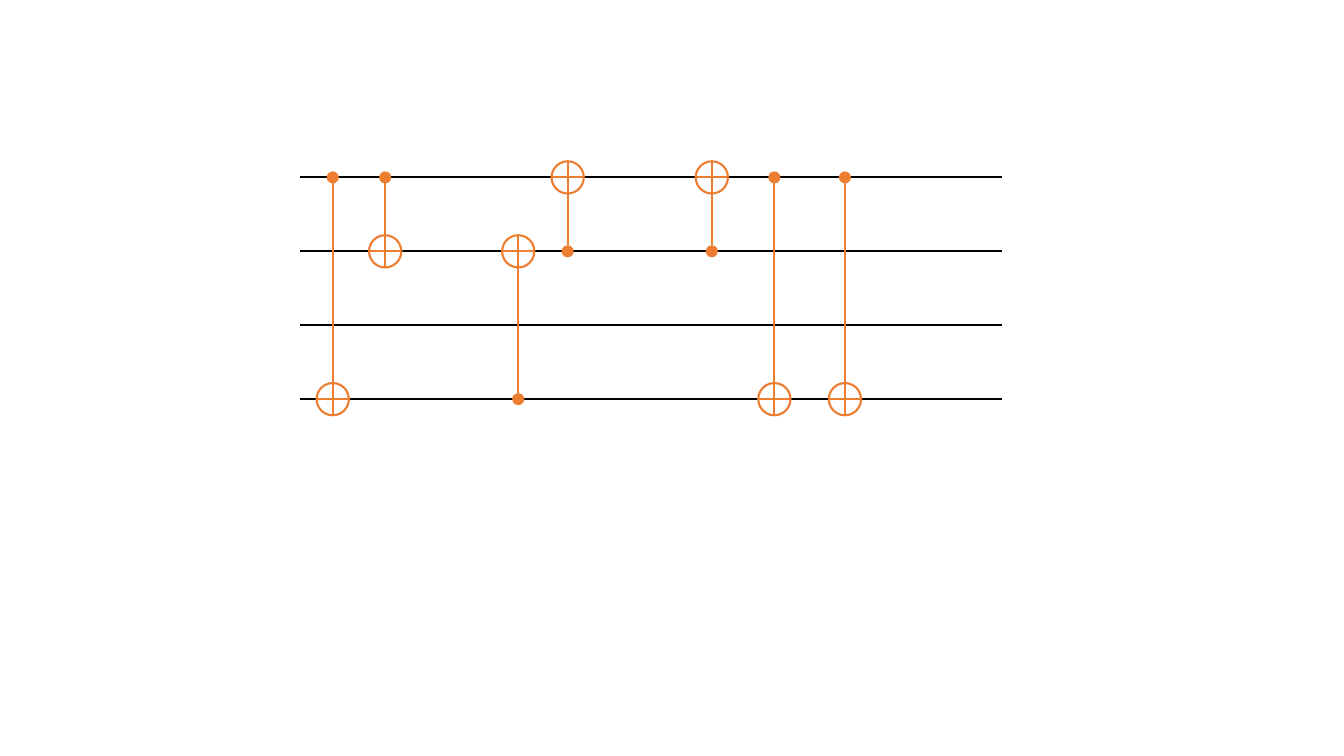
from lxml import etree
from pptx import Presentation
from pptx.dml.color import RGBColor
from pptx.enum.shapes import MSO_CONNECTOR, MSO_SHAPE
from pptx.oxml.ns import qn
from pptx.util import Inches, Pt

COLORS = {"wire": "000000", "gate": "ED7D31", "target": "FFFFFF"}
LINE_WIDTH = Pt(1.5)
TARGET_SIZE = 0.32
CONTROL_SIZE = 0.12
WIRE_COUNT = 4

# (offset from the left end of the wires, control wire, target wire)
CNOT_GATES = [
    (0.32, 0, 3),
    (0.84, 0, 1),
    (2.16, 3, 1),
    (2.65, 1, 0),
    (4.08, 1, 0),
    (4.70, 0, 3),
    (5.40, 0, 3),
]


def color(name):
    return RGBColor.from_string(COLORS[name])


def add_line(slide, start, end, color_name):
    line = slide.shapes.add_connector(
        MSO_CONNECTOR.STRAIGHT, *(Inches(v) for v in (*start, *end)))
    line.line.color.rgb = color(color_name)
    line.line.width = LINE_WIDTH
    etree.SubElement(line._element.spPr, qn("a:effectLst"))


def add_node(slide, preset, x, y, size, fill_name):
    """Place a round node with its centre at x, y."""
    node = slide.shapes.add_shape(
        preset, Inches(x - size / 2), Inches(y - size / 2),
        Inches(size), Inches(size))
    node.shadow.inherit = False
    node.fill.solid()
    node.fill.fore_color.rgb = color(fill_name)
    return node


def add_cnot(slide, x, control_y, target_y):
    target = add_node(slide, MSO_SHAPE.FLOWCHART_OR, x, target_y,
                      TARGET_SIZE, "target")
    target.line.color.rgb = color("gate")
    target.line.width = LINE_WIDTH
    control = add_node(slide, MSO_SHAPE.FLOWCHART_CONNECTOR, x, control_y,
                       CONTROL_SIZE, "gate")
    control.line.fill.background()

    direction = 1 if target_y > control_y else -1
    add_line(slide, (x, control_y + direction * CONTROL_SIZE / 2),
             (x, target_y - direction * TARGET_SIZE / 2), "gate")


def add_circuit(slide, left, top, width, height):
    wire_ys = [top + i * height / (WIRE_COUNT - 1) for i in range(WIRE_COUNT)]
    for y in wire_ys:
        add_line(slide, (left, y), (left + width, y), "wire")
    for offset, control, target in CNOT_GATES:
        add_cnot(slide, left + offset, wire_ys[control], wire_ys[target])


def main():
    prs = Presentation()
    prs.slide_width = Inches(13.33)
    prs.slide_height = Inches(7.5)
    slide = prs.slides.add_slide(prs.slide_layouts[6])
    add_circuit(slide, left=2.98, top=1.76, width=6.96, height=2.2)
    prs.save("out.pptx")


if __name__ == "__main__":
    main()
